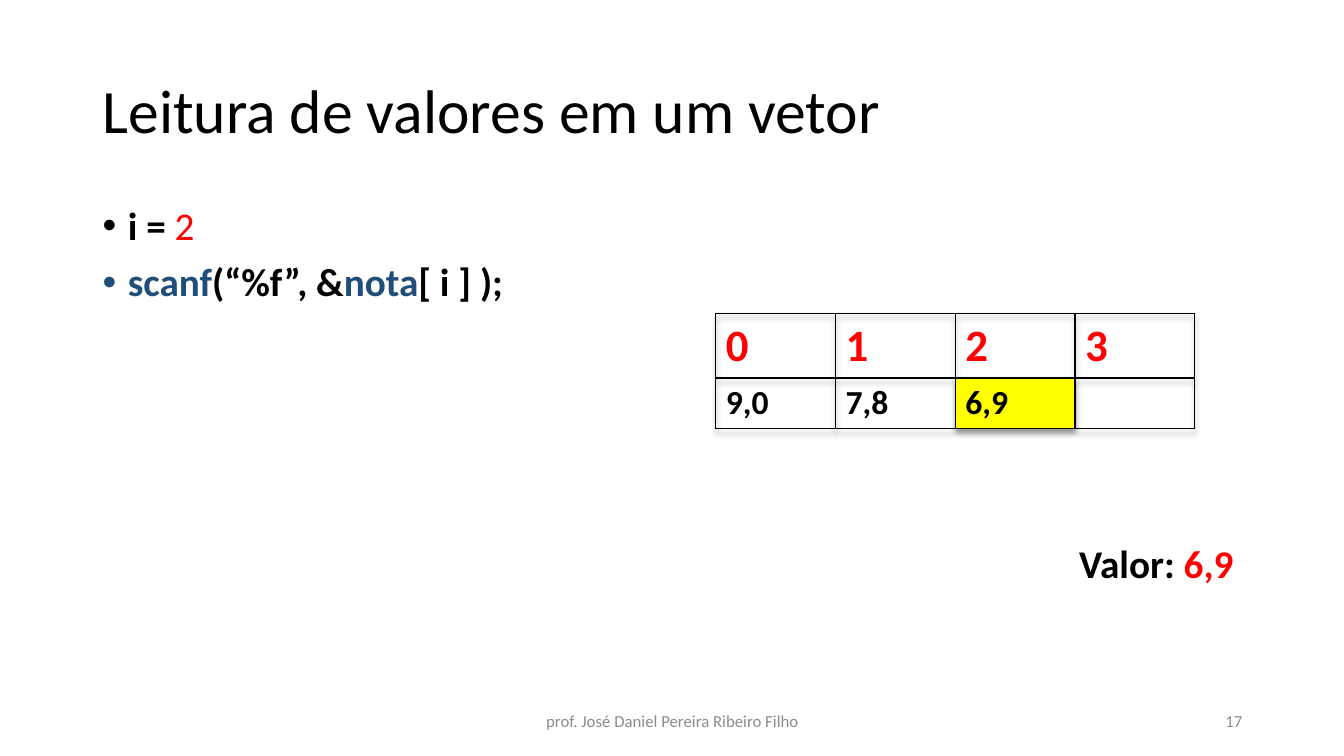
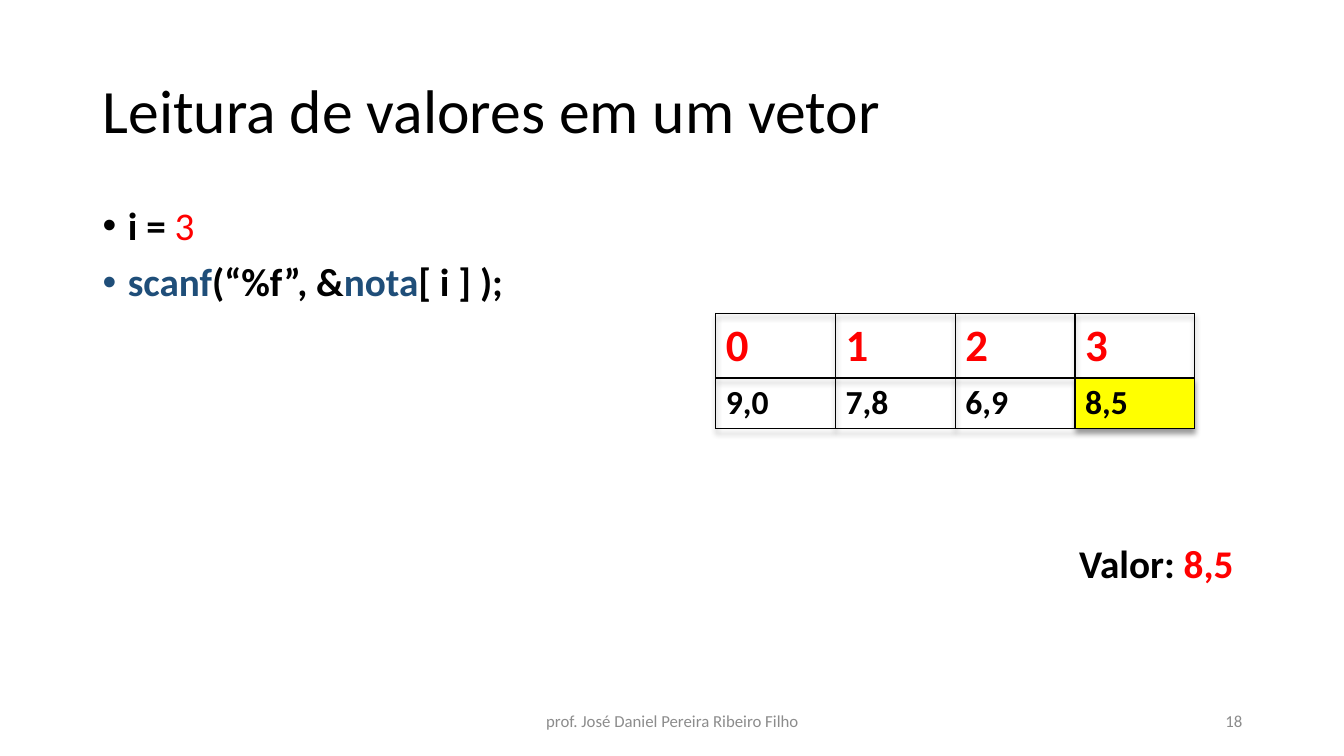
from lxml.etree import SubElement
from pptx import Presentation
from pptx.dml.color import RGBColor
from pptx.enum.text import MSO_ANCHOR, PP_ALIGN
from pptx.oxml import parse_xml
from pptx.oxml.ns import qn
from pptx.util import Inches, Pt

BLACK = RGBColor(0, 0, 0)
RED = RGBColor(0xFF, 0, 0)
NAVY = RGBColor(0x1F, 0x4E, 0x79)
GRAY = RGBColor(0x8C, 0x8C, 0x8C)
YELLOW = RGBColor(0xFF, 0xFF, 0)
FONT = "Calibri"

TITLE = "Leitura de valores em um vetor"
AUTHOR = "prof. José Daniel Pereira Ribeiro Filho"
SCANF_CALL = [("scanf", NAVY), ("(“%f”, &", BLACK), ("nota", NAVY), ("[ i ] );", BLACK)]
GRADES = ["9,0", "7,8", "6,9", "8,5"]
STEPS = [(17, 2), (18, 3)]  # page number, index being read

TITLE_AREA = (0.92, 0.4, 11.5, 1.45)
BODY_AREA = (0.92, 2, 11.5, 4.76)
AUTHOR_AREA = (4.42, 6.95, 4.5, 0.4)
PAGE_AREA = (9.42, 6.95, 3, 0.4)
TABLE_AREA = (7.1, 3.11, 4.75, 1.13)
ROW_HEIGHTS = (0.64, 0.49)
VALUE_GAP = 171  # points between the call and the value read

NAMESPACE = 'xmlns:a="http://schemas.openxmlformats.org/drawingml/2006/main"'
TABLE_SHADOW = (
    f'<a:effectLst {NAMESPACE}><a:outerShdw blurRad="50800" dist="38100" dir="5400000" '
    'algn="t" rotWithShape="0"><a:srgbClr val="000000"><a:alpha val="40000"/></a:srgbClr>'
    '</a:outerShdw></a:effectLst>')


def write(paragraph, text, size=28, color=BLACK, bold=False):
    """Append one formatted run to a paragraph."""
    run = paragraph.add_run()
    run.text = text
    run.font.name, run.font.size = FONT, Pt(size)
    run.font.bold, run.font.color.rgb = bold, color


def add_frame(slide, area, anchor=MSO_ANCHOR.MIDDLE):
    """Add a wrapping text box and return its text frame."""
    frame = slide.shapes.add_textbox(*map(Inches, area)).text_frame
    frame.word_wrap, frame.vertical_anchor = True, anchor
    return frame


def add_line(slide, area, text, align=PP_ALIGN.LEFT, spacing=1.0, **style):
    """Add a text box with a single line."""
    line = add_frame(slide, area).paragraphs[0]
    line.alignment, line.line_spacing = align, spacing
    write(line, text, **style)


def add_bullet(paragraph):
    """Give a paragraph a hanging bullet."""
    properties = paragraph._p.get_or_add_pPr()
    indent = Inches(0.25)
    properties.set("marL", str(indent))
    properties.set("indent", str(-indent))
    SubElement(properties, qn("a:buFont")).set("typeface", "Arial")
    SubElement(properties, qn("a:buChar")).set("char", "•")


def add_body(slide, index):
    """Add the index, the call and the value read."""
    frame = add_frame(slide, BODY_AREA, MSO_ANCHOR.TOP)
    assignment, call, value = frame.paragraphs[0], frame.add_paragraph(), frame.add_paragraph()
    for paragraph, gap in ((assignment, 10), (call, 10), (value, VALUE_GAP)):
        paragraph.line_spacing, paragraph.space_before = 0.9, Pt(gap)
    add_bullet(assignment)
    add_bullet(call)
    write(assignment, "i = ", bold=True)
    write(assignment, str(index), color=RED)
    for text, color in SCANF_CALL:
        write(call, text, color=color, bold=True)
    value.alignment = PP_ALIGN.RIGHT
    write(value, "Valor: ", bold=True)
    write(value, GRADES[index] + " ", color=RED, bold=True)


def add_borders(cell):
    """Draw a thin black line on all four sides of a cell."""
    properties = cell._tc.get_or_add_tcPr()
    for side in ("lnL", "lnR", "lnT", "lnB"):
        line = SubElement(properties, qn(f"a:{side}"), w=str(Pt(1)))
        fill = SubElement(line, qn("a:solidFill"))
        SubElement(fill, qn("a:srgbClr"), val=str(BLACK))


def add_vector(slide, index):
    """Add the vector filled up to index, with that cell highlighted."""
    table = slide.shapes.add_table(2, len(GRADES), *map(Inches, TABLE_AREA)).table
    table.first_row = table.horz_banding = False
    table._tbl.tblPr.insert(0, parse_xml(TABLE_SHADOW))
    for row, height in zip(table.rows, ROW_HEIGHTS):
        row.height = Inches(height)
    for column, grade in enumerate(GRADES):
        header, slot = table.cell(0, column), table.cell(1, column)
        for cell in (header, slot):
            add_borders(cell)
            cell.fill.background()
        write(header.text_frame.paragraphs[0], str(column), size=32, color=RED, bold=True)
        if column <= index:
            write(slot.text_frame.paragraphs[0], grade, size=24, bold=True)
        if column == index:
            slot.fill.solid()
            slot.fill.fore_color.rgb = YELLOW


def add_step(deck, page, index):
    """Build the slide that reads one vector element."""
    slide = deck.slides.add_slide(deck.slide_layouts[6])
    add_line(slide, TITLE_AREA, TITLE, spacing=0.9, size=44)
    add_body(slide, index)
    add_line(slide, AUTHOR_AREA, AUTHOR, PP_ALIGN.CENTER, size=12, color=GRAY)
    add_line(slide, PAGE_AREA, str(page), PP_ALIGN.RIGHT, size=12, color=GRAY)
    add_vector(slide, index)


deck = Presentation()
deck.slide_width, deck.slide_height = Inches(13.33), Inches(7.5)
for page, index in STEPS:
    add_step(deck, page, index)
deck.save("out.pptx")
